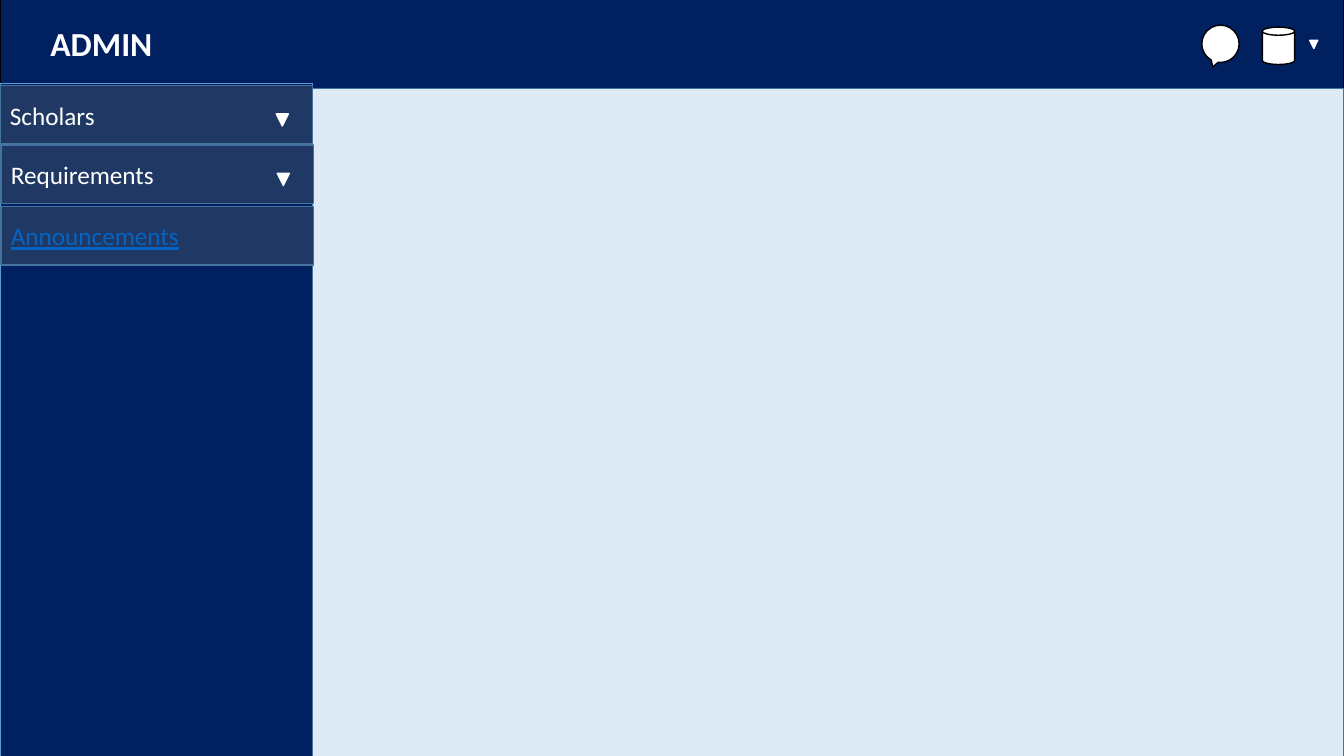
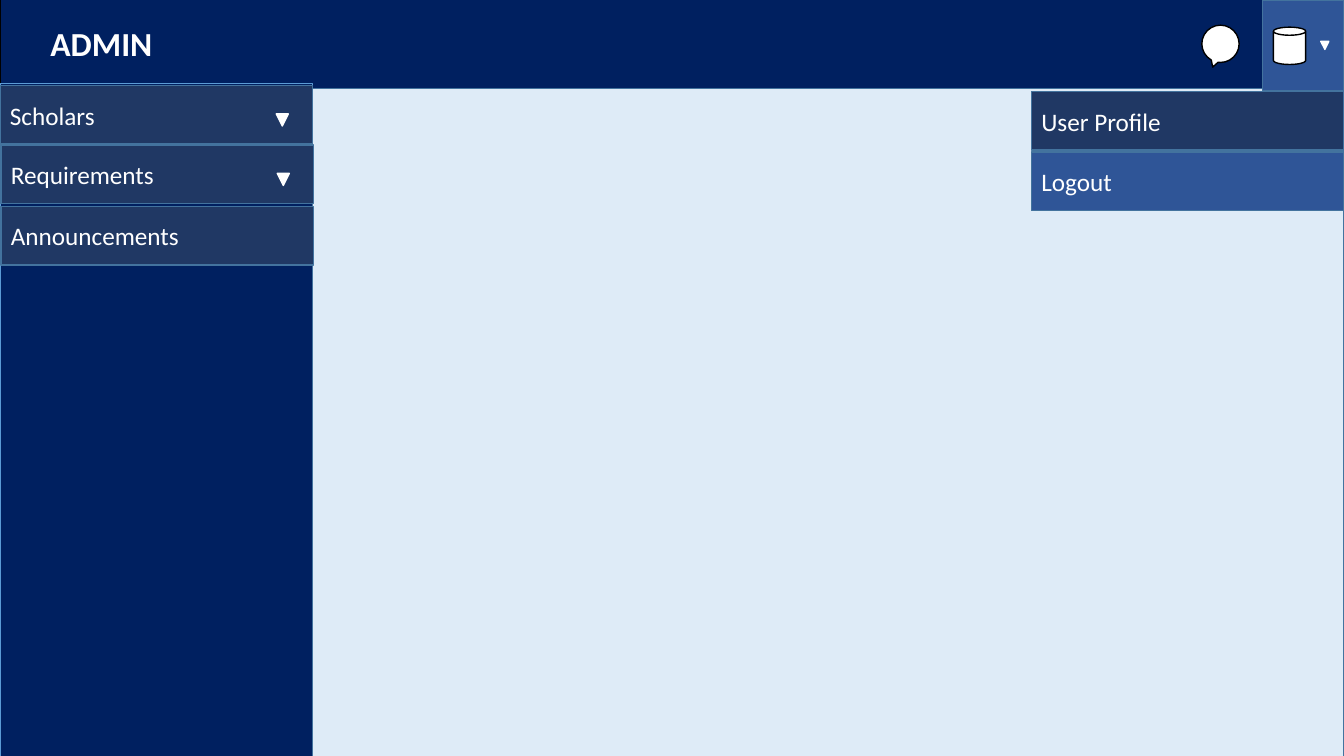
from pptx import Presentation
from pptx.dml.color import RGBColor
from pptx.enum.shapes import MSO_SHAPE
from pptx.enum.text import MSO_ANCHOR, PP_ALIGN
from pptx.util import Inches, Pt

W, H = 13.33, 7.5
SIDE_W, ROW_H = 3.1, 0.58
BAR_BOTTOM = 0.9
FONT = "Calibri"
C = {
    "navy": "002060", "row": "203864", "active": "2F5597", "panel": "DEEBF7",
    "edge": "43739E", "side_edge": "5B9BD5", "link": "0563C1",
    "white": "FFFFFF", "black": "000000",
}

# Content: label, left, top, has a dropdown arrow
SIDE_MENU = [
    ("Scholars", 0, 0.85, True),
    ("Requirements", 0.01, 1.44, True),
    ("Announcements", 0.01, 2.05, False),
]
# Content: label, fill
USER_MENU = [("User Profile", "row"), ("Logout", "active")]
USER_TOP, USER_STEP = 0.91, 0.6

SLIDES = [
    {"linked": "Announcements", "user_open": False, "user_x": 12.52},
    {"linked": None, "user_open": True, "user_x": 12.63},
]


def add_box(s, kind, x, y, w, h, fill, line):
    sp = s.shapes.add_shape(kind, Inches(x), Inches(y), Inches(w), Inches(h))
    sp.shadow.inherit = False
    sp.fill.solid()
    sp.fill.fore_color.rgb = RGBColor.from_string(C[fill])
    sp.line.color.rgb = RGBColor.from_string(C[line])
    sp.line.width = Pt(1)
    return sp


def add_label(sp, text, size=18, bold=False, color="white", indent=0.1):
    tf = sp.text_frame
    tf.word_wrap = True
    tf.vertical_anchor = MSO_ANCHOR.MIDDLE
    tf.margin_left = Inches(indent)
    p = tf.paragraphs[0]
    p.text = text
    p.alignment = PP_ALIGN.LEFT
    p.font.name, p.font.size, p.font.bold = FONT, Pt(size), bold
    p.font.color.rgb = RGBColor.from_string(C[color])
    return p


def add_arrow(s, x, y, size):
    sp = add_box(s, MSO_SHAPE.ISOSCELES_TRIANGLE, x, y, size, size, "white", "white")
    sp.rotation = 180


def add_row(s, text, x, y, fill="row", color="white"):
    sp = add_box(s, MSO_SHAPE.RECTANGLE, x, y, SIDE_W, ROW_H, fill, "edge")
    return add_label(sp, text, color=color)


def add_frame(s):
    bar = add_box(s, MSO_SHAPE.RECTANGLE, 0, -0.04, W, BAR_BOTTOM + 0.04, "navy", "black")
    add_label(bar, "ADMIN", size=24, bold=True, indent=0.5)
    add_box(s, MSO_SHAPE.RECTANGLE, 0, 0.83, SIDE_W, 6.7, "navy", "side_edge")
    add_box(s, MSO_SHAPE.RECTANGLE, SIDE_W, 0.88, W - SIDE_W, 6.65, "panel", "edge")
    add_box(s, MSO_SHAPE.OVAL_CALLOUT, 11.92, 0.25, 0.37, 0.37, "white", "black")


def add_side_menu(s, linked):
    for text, x, y, has_arrow in SIDE_MENU:
        is_link = text == linked
        p = add_row(s, text, x, y, color="link" if is_link else "white")
        p.font.underline = is_link
        if has_arrow:
            add_arrow(s, x + 2.74, y + 0.28, 0.12)


def add_user_menu(s, x, is_open):
    if is_open:
        add_box(s, MSO_SHAPE.RECTANGLE, 12.52, 0, W - 12.52, BAR_BOTTOM, "active", "edge")
        for i, (text, fill) in enumerate(USER_MENU):
            add_row(s, text, W - SIDE_W, USER_TOP + i * USER_STEP, fill)
    add_box(s, MSO_SHAPE.CAN, x, 0.27, 0.32, 0.37, "white", "black")
    add_arrow(s, x + 0.47, 0.41 if is_open else 0.4, 0.08)


def main():
    prs = Presentation()
    prs.slide_width, prs.slide_height = Inches(W), Inches(H)
    for state in SLIDES:
        s = prs.slides.add_slide(prs.slide_layouts[6])
        add_frame(s)
        add_side_menu(s, state["linked"])
        add_user_menu(s, state["user_x"], state["user_open"])
    prs.save("out.pptx")


if __name__ == "__main__":
    main()
